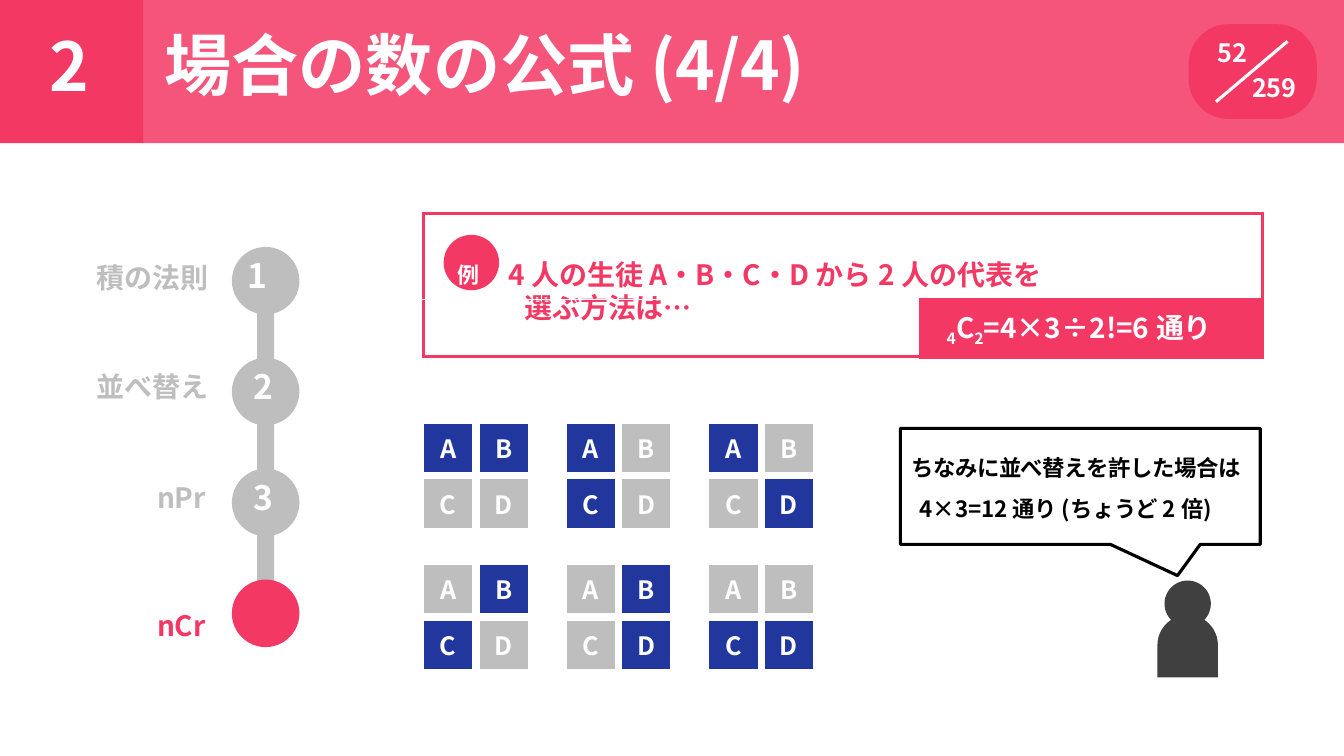
"""Build a slide on the nCr formula for counting combinations."""
from itertools import combinations

from lxml import etree
from pptx import Presentation
from pptx import util as u
from pptx.dml.color import RGBColor
from pptx.enum import shapes, text
from pptx.oxml import ns

COLORS = {"pink": "F43864", "gray": "BEBEBE", "blue": "21379E",
          "white": "FFFFFF", "dark": "404040", "black": "000000"}
FONT = "Noto Sans CJK JP"
KIND = shapes.MSO_SHAPE


def write(holder, top, paragraphs):
    """Fill a text frame or cell with (layout, runs) paragraphs."""
    margins = {"margin_left": 0, "margin_right": 0, "margin_bottom": 0,
               "margin_top": u.Inches(top)}
    for name, value in margins.items():
        setattr(holder, name, value)
    frame = getattr(holder, "text_frame", holder)
    for index, (layout, runs) in enumerate(paragraphs):
        para = frame.add_paragraph() if index else frame.paragraphs[0]
        for name, value in layout.items():
            if name not in ("indent", "tab"):
                setattr(para, name, value)
        props = para._p.get_or_add_pPr()
        props.set("marL", str(u.Inches(layout.get("indent", 0))))
        props.set("indent", "0")
        if "tab" in layout:
            tabs = etree.SubElement(props, ns.qn("a:tabLst"))
            etree.SubElement(tabs, ns.qn("a:tab"), algn="l",
                             pos=str(u.Inches(layout["tab"])))
        for words, size, color, spacing, *baseline in runs:
            span = para.add_run()
            span.text = words
            style = {"size": u.Pt(size), "bold": True, "name": FONT}
            for name, value in style.items():
                setattr(span.font, name, value)
            span.font.color.rgb = RGBColor.from_string(COLORS[color])
            mark = span._r.get_or_add_rPr()
            mark.set("spc", str(round(spacing * 100)))
            if baseline:
                mark.set("baseline", str(baseline[0] * 1000))
            etree.SubElement(mark, ns.qn("a:ea"), typeface=FONT)


def finish(cell, fill, borders, color):
    """Set the fill of a cell and its borders as (side, points) pairs."""
    if fill:
        cell.fill.solid()
        cell.fill.fore_color.rgb = RGBColor.from_string(COLORS[fill])
    else:
        cell.fill.background()
    props = cell._tc.get_or_add_tcPr()
    for index, (side, width) in enumerate(borders):
        line = etree.Element(ns.qn(f"a:ln{side}"), w=str(u.Pt(width)))
        paint = etree.SubElement(line, ns.qn("a:solidFill"))
        etree.SubElement(paint, ns.qn("a:srgbClr"), val=COLORS[color])
        props.insert(index, line)


deck = Presentation()
deck.slide_width, deck.slide_height = u.Inches(13.33), u.Inches(7.5)
page = deck.slides.add_slide(deck.slide_layouts[6])

figures = [
    (KIND.RECTANGLE, 0, 0, 1.42, 1.42, "pink", 100),
    (KIND.RECTANGLE, 1.42, 0, 11.91, 1.42, "pink", 85),
    (KIND.ROUNDED_RECTANGLE, 11.79, 0.24, 1.27, 0.94, "pink", 100),
    (KIND.RECTANGLE, 2.55, 2.79, 0.17, 3.3, "gray", 100),
    (KIND.OVAL, 4.4, 2.33, 0.55, 0.55, "pink", 100),
    (KIND.OVAL, 11.55, 5.76, 0.46, 0.46, "dark", 100),
    (KIND.ROUND_2_SAME_RECTANGLE, 11.48, 6.1, 0.6, 0.62, "dark", 100),
]
for step in range(4):
    color = "pink" if step == 3 else "gray"
    figures.append((KIND.OVAL, 2.3, 2.45 + 1.1 * step, 0.67, 0.67, color, 100))
corners = {KIND.ROUNDED_RECTANGLE: 0.42, KIND.ROUND_2_SAME_RECTANGLE: 0.5}
for kind, left, top, width, height, color, opacity in figures:
    figure = page.shapes.add_shape(kind, *map(u.Inches, (left, top, width, height)))
    figure.shadow.inherit = False
    figure.line.fill.background()
    figure.fill.solid()
    figure.fill.fore_color.rgb = RGBColor.from_string(COLORS[color])
    if kind in corners:
        figure.adjustments[0] = corners[kind]
    if opacity < 100:
        tint = figure._element.spPr.find(".//" + ns.qn("a:srgbClr"))
        etree.SubElement(tint, ns.qn("a:alpha"), val=str(opacity * 1000))

slash = page.shapes.add_connector(
    shapes.MSO_CONNECTOR.STRAIGHT, *map(u.Inches, (12.06, 1.01, 12.77, 0.41)))
etree.SubElement(slash._element.spPr, ns.qn("a:effectLst"))
bubble = page.shapes.add_shape(
    KIND.RECTANGULAR_CALLOUT, *map(u.Inches, (8.93, 4.25, 3.57, 1.15)))
bubble.shadow.inherit = False
bubble.fill.background()
bubble.adjustments[0], bubble.adjustments[1] = 0.27, 0.77
for outline, color in ((slash.line, "white"), (bubble.line, "black")):
    outline.color.rgb = RGBColor.from_string(COLORS[color])
    outline.width = u.Pt(2.25)

labels = [
    (0.36, 0.23, 0.69, 0.83, 0.01, [
        ({"indent": 0.13}, [("2", 48, "white", -0.5)])]),
    (1.63, 0.22, 6.85, 0.83, 0.01, [
        ({}, [("場合の数の公式 ", 48, "white", 0), ("(4/4)", 48, "white", -0.2)])]),
    (12.08, 0.31, 0.86, 0.72, 0.06, [
        ({}, [("52", 18, "white", -0.2)]),
        ({"indent": 0.34, "space_before": u.Pt(3.3)},
         [("259", 18, "white", -0.2)])]),
    (0.96, 2.52, 1.8, 0.43, 0.01, [
        ({"tab": 1.56}, [("積の法", 20, "gray", 0), ("則\t", 20, "gray", -0.5),
                         ("1", 24, "white", -0.5)])]),
    (0.96, 3.66, 1.14, 0.36, 0.01, [({}, [("並べ替え", 20, "gray", -0.1)])]),
    (2.51, 3.62, 0.25, 0.43, 0.01, [({}, [("2", 24, "white", -0.5)])]),
    (1.56, 4.76, 0.54, 0.36, 0.01, [({}, [("nPr", 20, "gray", -0.2)])]),
    (2.51, 4.72, 0.25, 0.43, 0.01, [({}, [("3", 24, "white", -0.5)])]),
    (1.56, 5.81, 1.2, 0.43, 0.01, [
        ({"tab": 0.96}, [("nCr\t", 20, "pink", -0.2), ("4", 36, "white", -0.8, 1)])]),
    (9.04, 4.36, 3.35, 0.83, 0.15, [
        ({}, [("ちなみに並べ替えを許した場合は", 16, "black", -0.3)]),
        ({"indent": 0.08, "space_before": u.Pt(9.6)},
         [("4×3=12", 16, "black", 0), (" 通り (ちょうど ", 16, "black", -0.3),
          ("2", 16, "black", 0), (" 倍)", 16, "black", -0.3)])]),
]
for left, top, width, height, inset, paragraphs in labels:
    box = page.shapes.add_textbox(*map(u.Inches, (left, top, width, height)))
    box.text_frame.word_wrap = True
    box.text_frame.auto_size = text.MSO_AUTO_SIZE.SHAPE_TO_FIT_TEXT
    write(box.text_frame, inset, paragraphs)

example = page.shapes.add_table(
    2, 2, *map(u.Inches, (4.2, 2.12, 8.32, 1.42))).table
example.first_row = example.horz_banding = False
for index, (width, height) in enumerate(((4.93, 0.85), (3.39, 0.57))):
    example.columns[index].width = u.Inches(width)
    example.rows[index].height = u.Inches(height)
question, question_end = example.cell(0, 0), example.cell(0, 1)
method, answer = example.cell(1, 0), example.cell(1, 1)
question.merge(question_end)
write(question, 0.28, [({"indent": 0.34, "tab": 1}, [
    ("例\t", 27, "white", -0.8, 6), ("4 人の生徒 A・", 20, "pink", 0),
    ("B", 20, "pink", -0.1), ("・C・D から 2 人の代表", 20, "pink", 0),
    ("を", 20, "pink", -0.5)])])
write(method, 0, [({"indent": 1, "line_spacing": u.Pt(19.4)},
                   [("選ぶ方法は…", 20, "pink", -0.1)])])
write(answer, 0.07, [({"indent": 0.26}, [
    ("4", 19.5, "white", 0, -21), ("C", 20, "white", 0),
    ("2", 19.5, "white", 0, -21), ("=4×3÷2!=6", 20, "white", 0),
    (" 通り", 20, "white", -0.2)])])
thin = [("L", 2.25), ("R", 2.25)]
for cell in (question, question_end):
    finish(cell, None, thin + [("T", 2.25)], "pink")
finish(method, None, thin + [("B", 2.25)], "pink")
finish(answer, "pink", thin + [("T", 2.25), ("B", 3)], "pink")

students = "ABCD"
for index, chosen in enumerate(combinations(students, 2)):
    row, column = divmod(index, 3)
    grid = page.shapes.add_table(
        2, 2, u.Inches(4.17 + 1.415 * column), u.Inches(4.17 + 1.4 * row),
        u.Inches(1.1), u.Inches(1.1)).table
    grid.first_row = grid.horz_banding = False
    for place, student in enumerate(students):
        cell = grid.cell(*divmod(place, 2))
        write(cell, 0.09, [({"alignment": text.PP_ALIGN.CENTER},
                            [(student, 18, "white", -0.5)])])
        finish(cell, "blue" if student in chosen else "gray",
               [(side, 6) for side in "LRTB"], "white")

deck.save("out.pptx")
